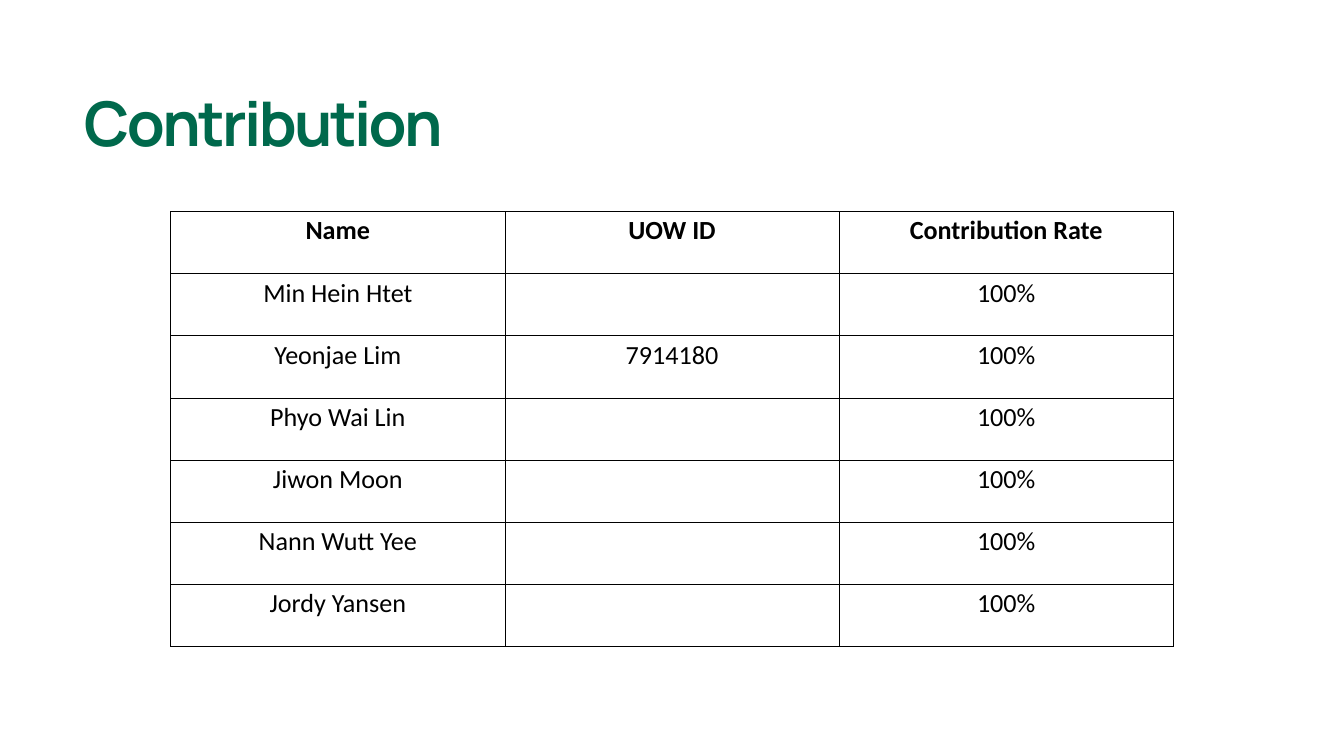
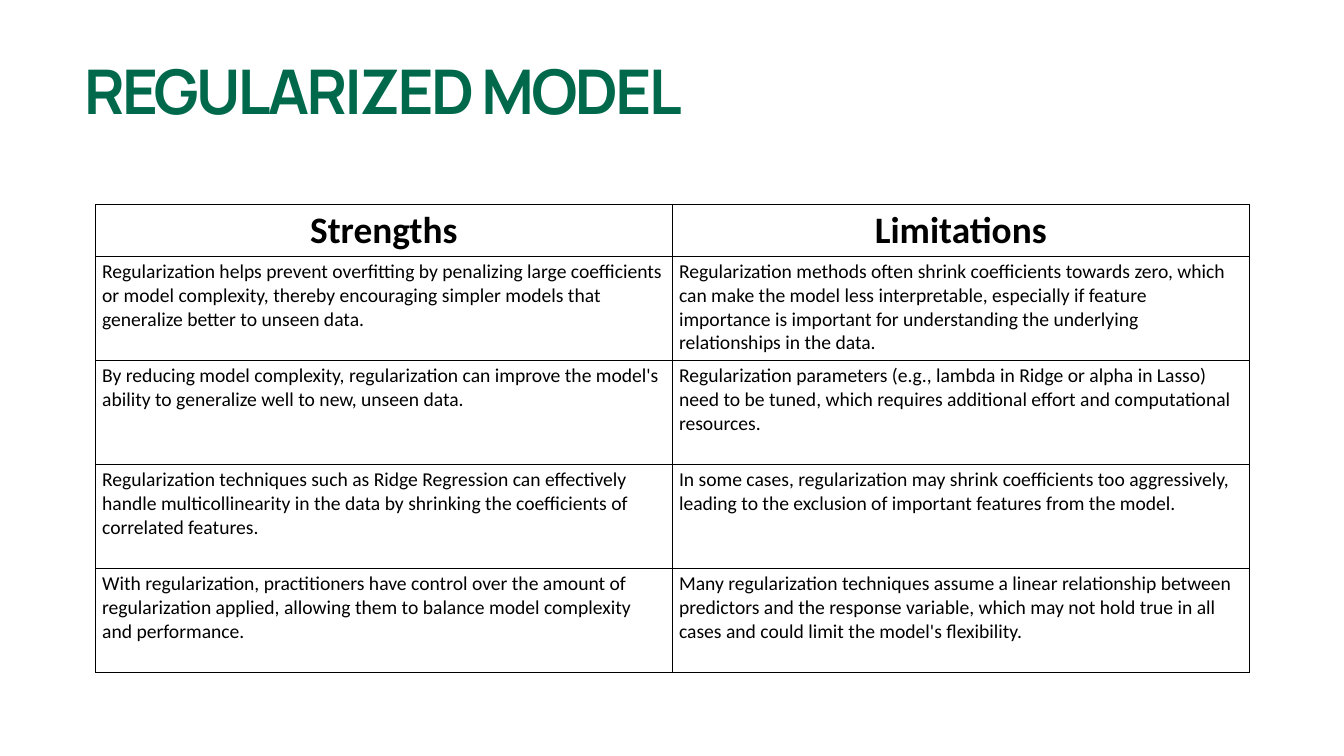
import dataclasses

import pptx
import pptx.dml.color
import pptx.enum.text
import pptx.oxml
import pptx.oxml.ns
import pptx.util

Inches = pptx.util.Inches
Pt = pptx.util.Pt
RGBColor = pptx.dml.color.RGBColor
CENTER = pptx.enum.text.PP_ALIGN.CENTER
LEFT = pptx.enum.text.PP_ALIGN.LEFT


@dataclasses.dataclass(frozen=True)
class Theme:
    green: str = "00694C"
    black: str = "000000"
    title_font: str = "Manrope"
    table_font: str = "Calibri"
    title_size: int = 66
    title_leading: int = 54
    title_tracking: float = -2.8
    heading_size: int = 40
    roster_size: int = 28
    body_size: int = 21
    border_width: int = 1


class DeckBuilder:
    def __init__(self, theme):
        self.theme = theme
        self.deck = pptx.Presentation()
        self.deck.slide_width = Inches(20)
        self.deck.slide_height = Inches(11.25)
        self.page = None

    def add_page(self):
        self.page = self.deck.slides.add_slide(self.deck.slide_layouts[6])

    def add_span(self, para, text, font, size, color, bold):
        span = para.add_run()
        span.text = text
        span.font.name = font
        span.font.size = Pt(size)
        span.font.bold = bold
        span.font.color.rgb = RGBColor.from_string(color)
        return span

    def add_title(self, text, top, width, height, leading=None):
        theme = self.theme
        box = self.page.shapes.add_textbox(
            Inches(1.25), Inches(top), Inches(width), Inches(height))
        frame = box.text_frame
        frame.margin_left = frame.margin_right = 0
        frame.margin_top = frame.margin_bottom = 0
        frame.word_wrap = True
        frame.auto_size = pptx.enum.text.MSO_AUTO_SIZE.SHAPE_TO_FIT_TEXT
        para = frame.paragraphs[0]
        if leading:
            para.line_spacing = Pt(leading)
        span = self.add_span(para, text, theme.title_font, theme.title_size,
                             theme.green, True)
        tracking = round(theme.title_tracking * 100)
        span._r.get_or_add_rPr().set("spc", str(tracking))

    def add_borders(self, cell):
        properties = cell._tc.get_or_add_tcPr()
        namespace = pptx.oxml.ns.nsdecls("a")
        width = Pt(self.theme.border_width)
        for index, side in enumerate(("lnL", "lnR", "lnT", "lnB")):
            line = pptx.oxml.parse_xml(
                f'<a:{side} {namespace} w="{width}"><a:solidFill>'
                f'<a:srgbClr val="{self.theme.black}"/>'
                f'</a:solidFill></a:{side}>')
            properties.insert(index, line)

    def add_table(self, rows, left, top, width, row_heights,
                  heading_size, body_size, body_alignment):
        columns = len(rows[0])
        table = self.page.shapes.add_table(
            len(rows), columns, Inches(left), Inches(top),
            Inches(width), Inches(sum(row_heights))).table
        table.first_row = False
        table.horz_banding = False
        for column in table.columns:
            column.width = Inches(width / columns)
        for row_index, texts in enumerate(rows):
            table.rows[row_index].height = Inches(row_heights[row_index])
            heading = row_index == 0
            for column_index, text in enumerate(texts):
                cell = table.cell(row_index, column_index)
                cell.fill.background()
                self.add_borders(cell)
                if text:
                    para = cell.text_frame.paragraphs[0]
                    para.alignment = CENTER if heading else body_alignment
                    self.add_span(para, text, self.theme.table_font,
                                  heading_size if heading else body_size,
                                  self.theme.black, heading)


MEMBERS = [
    ("Min Hein Htet", ""),
    ("Yeonjae Lim", "7914180"),
    ("Phyo Wai Lin", ""),
    ("Jiwon Moon", ""),
    ("Nann Wutt Yee", ""),
    ("Jordy Yansen", ""),
]

COMPARISON = [
    ("Strengths", "Limitations"),
    ("Regularization helps prevent overfitting by penalizing large "
     "coefficients or model complexity, thereby encouraging simpler models "
     "that generalize better to unseen data.",
     "Regularization methods often shrink coefficients towards zero, which "
     "can make the model less interpretable, especially if feature "
     "importance is important for understanding the underlying "
     "relationships in the data."),
    ("By reducing model complexity, regularization can improve the model's "
     "ability to generalize well to new, unseen data.",
     "Regularization parameters (e.g., lambda in Ridge or alpha in Lasso) "
     "need to be tuned, which requires additional effort and computational "
     "resources."),
    ("Regularization techniques such as Ridge Regression can effectively "
     "handle multicollinearity in the data by shrinking the coefficients of "
     "correlated features.",
     "In some cases, regularization may shrink coefficients too "
     "aggressively, leading to the exclusion of important features from the "
     "model."),
    ("With regularization, practitioners have control over the amount of "
     "regularization applied, allowing them to balance model complexity and "
     "performance.",
     "Many regularization techniques assume a linear relationship between "
     "predictors and the response variable, which may not hold true in all "
     "cases and could limit the model's flexibility."),
]


def add_contribution(builder):
    theme = builder.theme
    builder.add_page()
    builder.add_title("Contribution", 1.62, 6.83, 1.53, theme.title_leading)
    rows = [("Name", "UOW ID", "Contribution Rate")]
    rows += [(name, number, "100%") for name, number in MEMBERS]
    builder.add_table(rows, 2.54, 3.15, 14.92, [6.47 / len(rows)] * len(rows),
                      theme.roster_size, theme.roster_size, CENTER)


def add_regularized_model(builder):
    theme = builder.theme
    builder.add_page()
    builder.add_title("REGULARIZED MODEL", 0.79, 14.25, 1.11)
    row_heights = [0.77] + [1.55] * (len(COMPARISON) - 1)
    builder.add_table(COMPARISON, 1.42, 3.04, 17.17, row_heights,
                      theme.heading_size, theme.body_size, LEFT)


def main():
    builder = DeckBuilder(Theme())
    add_contribution(builder)
    add_regularized_model(builder)
    builder.deck.save("out.pptx")


if __name__ == "__main__":
    main()
